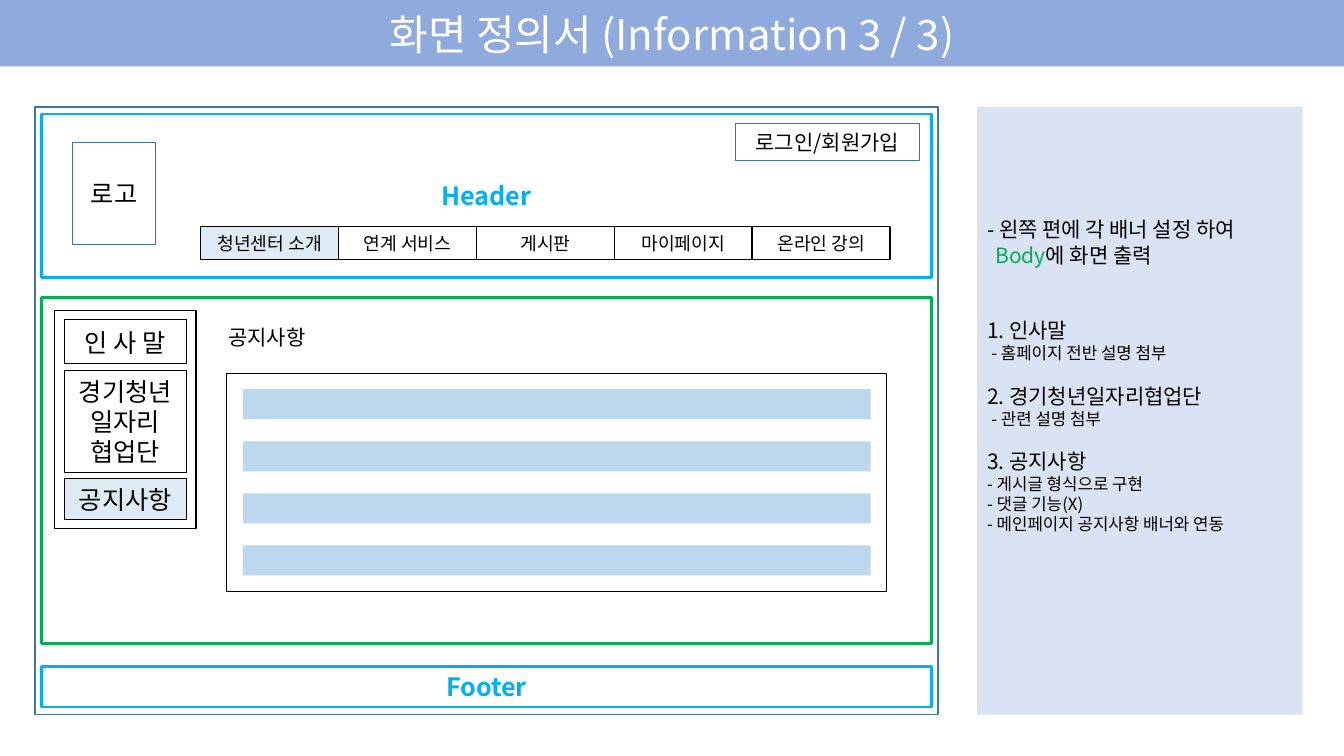
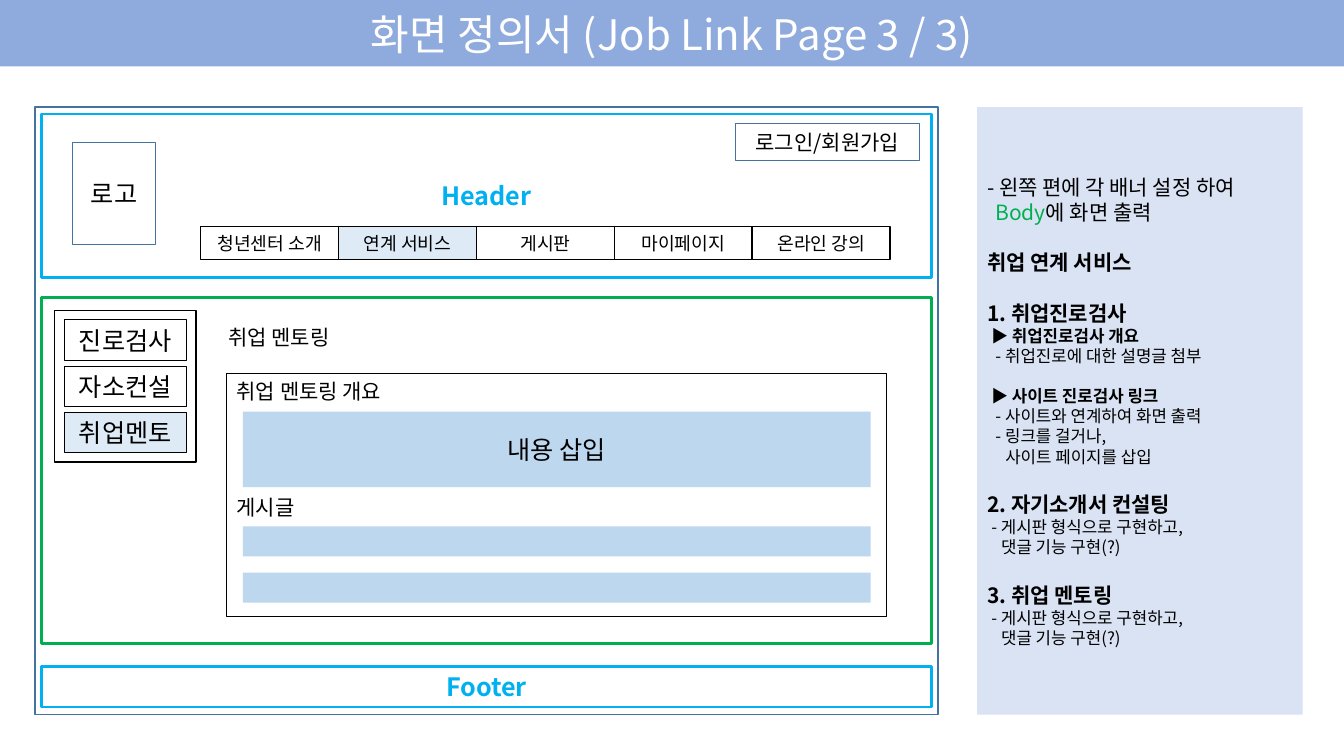
from dataclasses import dataclass

from pptx import Presentation
from pptx.dml.color import RGBColor
from pptx.enum.shapes import MSO_SHAPE
from pptx.enum.text import MSO_ANCHOR, PP_ALIGN
from pptx.oxml.ns import qn
from pptx.util import Pt

# Shared look
FONT = "Noto Sans CJK KR"
LEADING = 1.2
BLACK, WHITE = "000000", "FFFFFF"
TITLE_BLUE, PANEL_BLUE = "8FAADC", "DAE3F3"
SKY, GREEN, STEEL = "00B0F0", "00B050", "43739E"
ACTIVE, ROW_BLUE = "DEEBF7", "BDD7EE"

# Shared places
FRAME_TOP, FRAME_H = 76.5, 434
REGION_X, REGION_W = 29.5, 636
NAV = ["청년센터 소개", "연계 서비스", "게시판", "마이페이지", "온라인 강의"]
NAV_X, NAV_Y, NAV_W, NAV_H = 143.3, 162, 98.5, 23.3
MENU_X, MENU_Y, MENU_W, MENU_PAD = 46, 228.5, 87, 6.5
CONTENT_X, CONTENT_Y, CONTENT_W = 162, 266.5, 471.5
ROW_X, ROW_W, ROW_H = 173.5, 448.5, 21.5


@dataclass
class Note:
    text: str
    size: float = 12
    indent: float = 0
    before: float = 0
    bold: bool = False
    lead: str = ""  # green words ahead of the text


INTRO = [
    Note("- 왼쪽 편에 각 배너 설정 하여", 15),
    Note("에 화면 출력", 15, 6, lead="Body"),
]
INFO_NOTES = INTRO + [
    Note("1. 인사말", 15, before=36),
    Note("- 홈페이지 전반 설명 첨부", indent=3),
    Note("2. 경기청년일자리협업단", 15, before=14.4),
    Note("- 관련 설명 첨부", indent=3),
    Note("3. 공지사항", 15, before=14.4),
    Note("- 게시글 형식으로 구현"),
    Note("- 댓글 기능(X)"),
    Note("- 메인페이지 공지사항 배너와 연동"),
]
BOARD_NOTES = [
    Note("- 게시판 형식으로 구현하고,", indent=3),
    Note("댓글 기능 구현(?)", indent=10),
]
JOB_NOTES = INTRO + [
    Note("취업 연계 서비스", 15, before=18, bold=True),
    Note("1. 취업진로검사", 15, before=18, bold=True),
    Note("▶ 취업진로검사 개요", indent=3, bold=True),
    Note("- 취업진로에 대한 설명글 첨부", indent=6),
    Note("▶ 사이트 진로검사 링크", indent=3, before=14.4, bold=True),
    Note("- 사이트와 연계하여 화면 출력", indent=6),
    Note("- 링크를 걸거나,", indent=6),
    Note("사이트 페이지를 삽입", indent=13),
    Note("2. 자기소개서 컨설팅", 15, before=18, bold=True),
    *BOARD_NOTES,
    Note("3. 취업 멘토링", 15, before=18, bold=True),
    *BOARD_NOTES,
]


def rgb(value):
    return RGBColor.from_string(value)


def style_run(r, size, color=BLACK, bold=False):
    r.font.size, r.font.bold, r.font.name = Pt(size), bold, FONT
    r.font.color.rgb = rgb(color)
    ea = r.font._element.makeelement(qn("a:ea"), {"typeface": FONT})
    r.font._element.find(qn("a:latin")).addnext(ea)


def style_paragraph(p, size, align=PP_ALIGN.LEFT, before=0):
    p.alignment = align
    p.line_spacing = Pt(round(size * LEADING, 1))
    p.space_before = Pt(before)


def add_box(shapes, x, y, w, h, fill=None, line=None, weight=0.75):
    s = shapes.add_shape(MSO_SHAPE.RECTANGLE, Pt(x), Pt(y), Pt(w), Pt(h))
    s.shadow.inherit = False
    if fill:
        s.fill.solid()
        s.fill.fore_color.rgb = rgb(fill)
    else:
        s.fill.background()
    if line:
        s.line.color.rgb = rgb(line)
        s.line.width = Pt(weight)
    else:
        s.line.fill.background()
    return s


def set_text(s, text, size, color=BLACK, bold=False, align=PP_ALIGN.CENTER, wrap=True):
    tf = s.text_frame
    tf.text = text
    tf.word_wrap = wrap
    tf.vertical_anchor = MSO_ANCHOR.MIDDLE
    for p in tf.paragraphs:
        style_paragraph(p, size, align)
        for r in p.runs:
            style_run(r, size, color, bold)


def add_title(slide, text):
    set_text(add_box(slide.shapes, 0, 0, 960, 47.5, TITLE_BLUE), text, 30, WHITE)


def add_nav(slide, active):
    shapes = slide.shapes.add_group_shape().shapes
    for i, name in enumerate(NAV):
        fill = ACTIVE if name == active else None
        s = add_box(shapes, NAV_X + i * NAV_W, NAV_Y, NAV_W, NAV_H, fill, BLACK, 1)
        set_text(s, name, 13)


def add_wireframe(slide, active):
    """Page frame with its header, body and footer regions."""
    shapes = slide.shapes
    add_box(shapes, 25, FRAME_TOP, 645, FRAME_H, line=STEEL, weight=1)
    for name, y, h, color in (
        ("Header", 81.5, 116.5, SKY),
        ("", 212.5, 247, GREEN),
        ("Footer", 476, 29, SKY),
    ):
        s = add_box(shapes, REGION_X, y, REGION_W, h, line=color, weight=2)
        if name:
            set_text(s, name, 18, color, True)
    set_text(add_box(shapes, 52, 102, 59, 73, line=STEEL), "로고", 18)
    set_text(add_box(shapes, 525.5, 88.5, 131, 26, line=STEEL), "로그인/회원가입", 15)
    add_nav(slide, active)


def add_menu(slide, items, gap):
    """Stack of (label, height) buttons; the last one is the open page."""
    y = MENU_Y
    for label, h in items:
        fill = ACTIVE if label == items[-1][0] else None
        s = add_box(slide.shapes, MENU_X, y, MENU_W, h, fill, BLACK)
        set_text(s, label, 18, wrap=False)
        y += h + gap
    add_box(slide.shapes, MENU_X - 7, MENU_Y - MENU_PAD, MENU_W + 14,
            y - gap - MENU_Y + 2 * MENU_PAD, line=BLACK, weight=1)


def add_content(slide, heading, heading_w, h):
    s = add_box(slide.shapes, 156, 228.5, heading_w, 25, WHITE)
    set_text(s, heading, 15, align=PP_ALIGN.LEFT, wrap=False)
    return add_box(slide.shapes, CONTENT_X, CONTENT_Y, CONTENT_W, h, line=BLACK)


def add_rows(slide, y, step, count):
    for i in range(count):
        add_box(slide.shapes, ROW_X, y + i * step, ROW_W, ROW_H, ROW_BLUE)


def add_notes_panel(slide, notes, bottom=3.6):
    tf = add_box(slide.shapes, 698, FRAME_TOP, 232.5, FRAME_H, PANEL_BLUE).text_frame
    tf.word_wrap = True
    tf.vertical_anchor = MSO_ANCHOR.MIDDLE
    tf.margin_bottom = Pt(bottom)
    for i, note in enumerate(notes):
        p = tf.add_paragraph() if i else tf.paragraphs[0]
        style_paragraph(p, note.size, before=note.before)
        p._p.get_or_add_pPr().set("marL", str(Pt(note.indent)))
        for text, color in ((note.lead, GREEN), (note.text, BLACK)):
            if text:
                r = p.add_run()
                r.text = text
                style_run(r, note.size, color, note.bold)


def start_page(prs, title, active):
    slide = prs.slides.add_slide(prs.slide_layouts[6])
    add_title(slide, title)
    add_wireframe(slide, active)
    return slide


def build_information(prs):
    slide = start_page(prs, "화면 정의서 (Information 3 / 3)", NAV[0])
    menu = [("인 사 말", 31.5), ("경기청년\v일자리\v협업단", 73), ("공지사항", 29)]
    add_menu(slide, menu, 4.5)
    add_content(slide, "공지사항", 75, 156)
    add_rows(slide, 278, 37.2, 4)
    add_notes_panel(slide, INFO_NOTES, bottom=54)


def build_job_link(prs):
    slide = start_page(prs, "화면 정의서 (Job Link Page 3 / 3)", NAV[1])
    add_menu(slide, [(t, 29) for t in ("진로검사", "자소컨설", "취업멘토")], 4)
    s = add_content(slide, "취업 멘토링", 96, 174)
    set_text(s, "취업 멘토링 개요\n게시글", 15, align=PP_ALIGN.LEFT)
    s.text_frame.vertical_anchor = MSO_ANCHOR.TOP
    s.text_frame.paragraphs[1].space_before = Pt(65)  # room for the insert
    insert = add_box(slide.shapes, ROW_X, 294, ROW_W, 54, ROW_BLUE)
    set_text(insert, "내용 삽입", 18)
    add_rows(slide, 376, 33, 2)
    add_notes_panel(slide, JOB_NOTES)


def main():
    prs = Presentation()
    prs.slide_width, prs.slide_height = Pt(960), Pt(540)
    build_information(prs)
    build_job_link(prs)
    prs.save("out.pptx")


if __name__ == "__main__":
    main()
